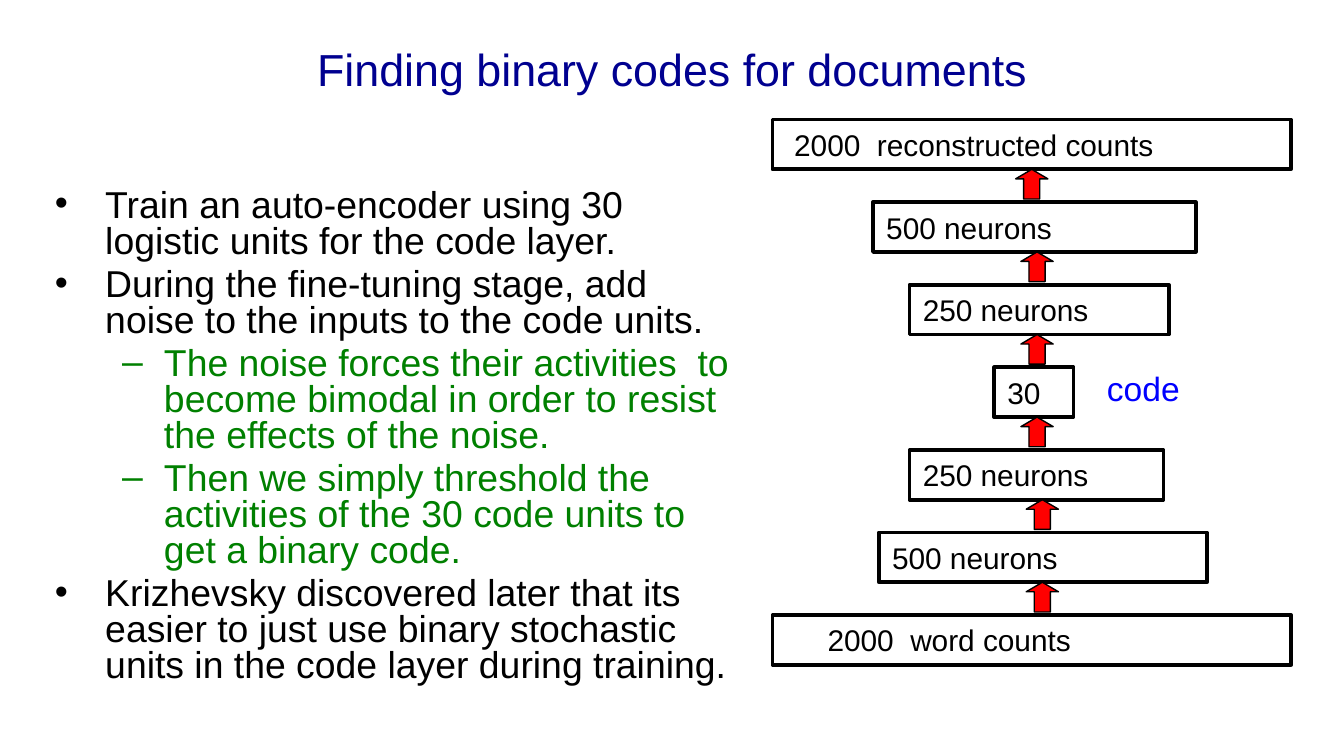
from lxml import etree
from pptx import Presentation
from pptx.dml.color import RGBColor
from pptx.enum import shapes, text
from pptx.oxml import ns
from pptx.util import Cm, Pt

BLACK, NAVY, GREEN, BLUE, RED = "000000", "000090", "008000", "0000FF", "FF0000"

# text, left offset, width, text inset (cm), from top to bottom
LAYERS = [
    ("2000  reconstructed counts", 0, 9.8, 0.41),
    ("500 neurons", 1.9, 6.1, 0.25),
    ("250 neurons", 2.59, 4.9, 0.25),
    ("30", 4.19, 1.5, 0.25),
    ("250 neurons", 2.59, 4.8, 0.25),
    ("500 neurons", 2.01, 6.2, 0.25),
    ("2000  word counts", 0, 9.8, 1.04),
]
ARROW_CENTERS = [4.9, 5, 5, 5, 5.1, 5.1]

POINTS = [
    (0, "Train an auto-encoder using 30 logistic units for the code layer."),
    (0, "During the fine-tuning stage, add noise to the inputs to the code units."),
    (1, "The noise forces their activities  to become bimodal in order to resist "
        "the effects of the noise."),
    (1, "Then we simply threshold the activities of the 30 code units to get a "
        "binary code."),
    (0, "Krizhevsky discovered later that its easier to just use binary stochastic "
        "units in the code layer during training."),
]
# bullet, colour, text indent (cm), hanging indent (cm)
LEVELS = [("•", BLACK, 0.95, 0.95), ("–", GREEN, 2.06, 0.79)]


def rgb(color):
    return RGBColor.from_string(color)


def apply(target, values):
    for name, value in values.items():
        setattr(target, name, value)


def write(paragraph, words, size, color):
    paragraph.add_run().text = words
    apply(paragraph.runs[0].font, {"name": "Arial", "size": Pt(size)})
    paragraph.runs[0].font.color.rgb = rgb(color)


def add_frame(slide, left, top, width, height, **frame_format):
    frame = slide.shapes.add_textbox(Cm(left), Cm(top), Cm(width), Cm(height)).text_frame
    apply(frame, {"word_wrap": True, **frame_format})
    return frame


def add_outlined(slide, kind, left, top, width, height, line_width, fill=None):
    shape = slide.shapes.add_shape(kind, Cm(left), Cm(top), Cm(width), Cm(height))
    shape.shadow.inherit = False
    if fill:
        shape.fill.solid()
        shape.fill.fore_color.rgb = rgb(fill)
    else:
        shape.fill.background()
    shape.line.color.rgb = rgb(BLACK)
    shape.line.width = Pt(line_width)
    return shape


def add_title(slide, left, top, width, height):
    frame = add_frame(slide, left, top, width, height,
                      vertical_anchor=text.MSO_ANCHOR.MIDDLE)
    heading = frame.paragraphs[0]
    heading.alignment = text.PP_ALIGN.CENTER
    write(heading, "Finding binary codes for documents", 24, NAVY)


def add_points(slide, left, top, width, height):
    frame = add_frame(slide, left, top, width, height, margin_top=Cm(1.32))
    for number, (level, words) in enumerate(POINTS):
        point = frame.add_paragraph() if number else frame.paragraphs[0]
        bullet, color, indent, hanging = LEVELS[level]
        apply(point, {"level": level, "line_spacing": 0.8,
                      "space_before": Pt(4 if number else 0)})
        properties = point._p.get_or_add_pPr()
        properties.set("marL", str(Cm(indent)))
        properties.set("indent", str(-Cm(hanging)))
        etree.SubElement(properties, ns.qn("a:buFont"), typeface="Arial")
        etree.SubElement(properties, ns.qn("a:buChar"), char=bullet)
        write(point, words, 20, color)


def add_autoencoder(slide, left, top, pitch=1.56, layer_height=0.94):
    """Stack the layers from the reconstruction down to the input, with arrows going up."""
    for row, (words, offset, width, inset) in enumerate(LAYERS):
        layer = add_outlined(slide, shapes.MSO_SHAPE.RECTANGLE, left + offset,
                             top + row * pitch, width, layer_height, 2)
        apply(layer.text_frame, {
            "word_wrap": True, "vertical_anchor": text.MSO_ANCHOR.MIDDLE,
            "margin_left": Cm(inset), "margin_top": 0, "margin_bottom": 0})
        label = layer.text_frame.paragraphs[0]
        label.alignment = text.PP_ALIGN.LEFT
        write(label, words, 16, BLACK)

    arrow_width, arrow_height = 0.61, 0.56
    for row, center in enumerate(ARROW_CENTERS):
        arrow = add_outlined(slide, shapes.MSO_SHAPE.UP_ARROW,
                             left + center - arrow_width / 2,
                             top + row * pitch + layer_height,
                             arrow_width, arrow_height, 0.75, RED)
        arrow.adjustments[0], arrow.adjustments[1] = 0.5, 0.32

    code = add_frame(slide, left + 6.07, top + 3 * pitch - 0.12, 2.9, 1.02)
    write(code.paragraphs[0], "code", 18, BLUE)


def main():
    deck = Presentation()
    apply(deck, {"slide_width": Cm(25.4), "slide_height": Cm(14.28)})
    slide = deck.slides.add_slide(deck.slide_layouts[6])
    add_title(slide, 1.27, 0.1, 22.86, 2.39)
    add_points(slide, 0.79, 2.26, 13.59, 12.45)
    add_autoencoder(slide, 14.6, 2.26)
    deck.save("out.pptx")


if __name__ == "__main__":
    main()
